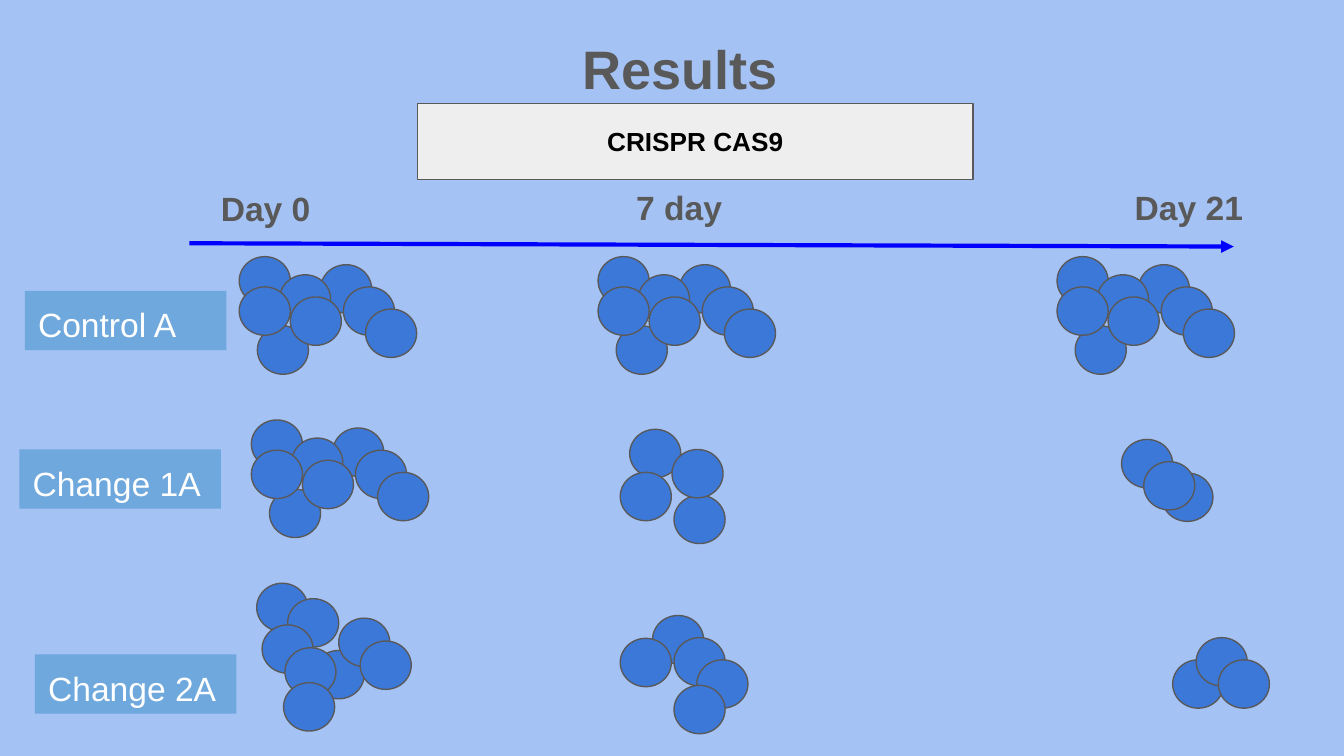
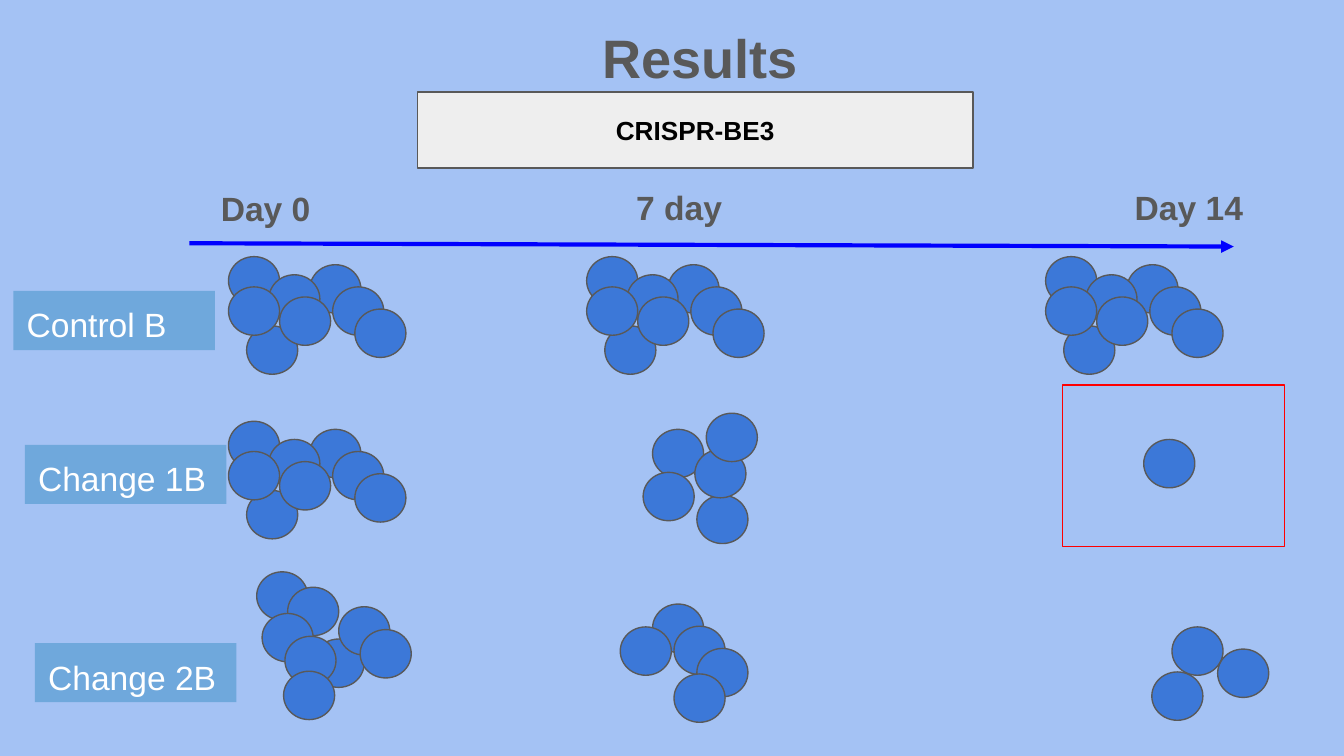
"""Build two slides that chart cell colonies over time under CRISPR edits."""
from dataclasses import dataclass

from lxml.etree import SubElement
from pptx import Presentation
from pptx.dml.color import RGBColor
from pptx.enum.shapes import MSO_CONNECTOR, MSO_SHAPE
from pptx.enum.text import MSO_ANCHOR, PP_ALIGN
from pptx.oxml.ns import qn
from pptx.util import Pt

EMU_PER_PX = 4572
SLIDE_SIZE = (2000, 1125)
INSET = 20
CELL_SIZE = (76, 72)
LABEL_SIZE = (300, 88)

FULL = [(121, 12), (0, 0), (27, 103), (60, 27), (0, 45), (76, 60), (155, 45), (188, 78)]
SCATTERED = [(84, 100), (0, 0), (46, 23), (122, 52), (8, 62), (154, 86), (42, 96), (40, 148)]
FOUR = [(14, 0), (0, 64), (80, 98), (77, 30)]
FIVE = FOUR + [(94, -24)]
ARC = [(48, 0), (80, 33), (114, 66), (80, 104), (0, 34)]
CHAIN = [(60, 50), (0, 0), (33, 33)]
PILE = [(0, 33), (35, 0), (68, 33)]
SPREAD = [(0, 67), (30, 0), (98, 33)]
SINGLE = [(0, 0)]

SLIDES = [
    {
        "title_at": (106, 33),
        "method": ("CRISPR CAS9", 154),
        "last_day": "Day 21",
        "labels": [("Control A", 37, 433), ("Change 1A", 29, 669), ("Change 2A", 52, 974)],
        "colonies": [
            (FULL, 356, 382), (FULL, 890, 382), (FULL, 1573, 382),
            (FULL, 374, 625), (FOUR, 923, 639), (CHAIN, 1669, 654),
            (SCATTERED, 382, 868), (ARC, 923, 916), (PILE, 1745, 949),
        ],
        "highlight": None,
    },
    {
        "title_at": (136, 17),
        "method": ("CRISPR-BE3", 137),
        "last_day": "Day 14",
        "labels": [("Control B", 20, 433), ("Change 1B", 37, 662), ("Change 2B", 52, 957)],
        "colonies": [
            (FULL, 340, 382), (FULL, 873, 382), (FULL, 1556, 382),
            (FULL, 340, 627), (FIVE, 957, 639), (SINGLE, 1702, 654),
            (SCATTERED, 382, 851), (ARC, 923, 899), (SPREAD, 1714, 933),
        ],
        "highlight": (1581, 573, 331, 240),
    },
]


@dataclass(frozen=True)
class Theme:
    """Colours, font and type sizes of the deck."""
    background: str = "A4C2F4"
    heading: str = "595959"
    outline: str = "595959"
    cell: str = "3C78D8"
    label: str = "6FA8DC"
    label_text: str = "FFFFFF"
    method: str = "EEEEEE"
    method_text: str = "000000"
    arrow: str = "0000FF"
    highlight: str = "FF0000"
    font: str = "Arial"
    title_size: int = 29
    body_size: int = 18
    method_size: int = 14
    thin: float = 0.75
    thick: float = 2.25


THEME = Theme()


def px(*lengths):
    """Turn px lengths into EMU."""
    return [n * EMU_PER_PX for n in lengths]


def rgb(color):
    """Turn a hex string into a colour."""
    return RGBColor.from_string(color)


def write(sp, text, size, color, bold=False, align=PP_ALIGN.LEFT, anchor=MSO_ANCHOR.TOP):
    """Put one styled paragraph into a shape."""
    tf = sp.text_frame
    tf.word_wrap = True
    tf.vertical_anchor = anchor
    tf.margin_left, tf.margin_top, tf.margin_right, tf.margin_bottom = px(*[INSET] * 4)
    p = tf.paragraphs[0]
    p.text = text
    p.alignment = align
    p.font.name = THEME.font
    p.font.size = Pt(size)
    p.font.bold = bold
    p.font.color.rgb = rgb(color)


def add_heading(s, text, box, size=THEME.body_size, align=PP_ALIGN.LEFT):
    """Add a bold grey text box."""
    sp = s.shapes.add_textbox(*px(*box))
    write(sp, text, size, THEME.heading, bold=True, align=align)


def add_box(s, kind, box, fill=None, line=None):
    """Add a flat preset shape with an optional fill and outline."""
    sp = s.shapes.add_shape(kind, *px(*box))
    sp.shadow.inherit = False
    if fill:
        sp.fill.solid()
        sp.fill.fore_color.rgb = rgb(fill)
    else:
        sp.fill.background()
    if line:
        sp.line.color.rgb = rgb(line)
        sp.line.width = Pt(THEME.thin)
    else:
        sp.line.fill.background()
    return sp


def add_timeline(s, last_day):
    """Add the time arrow and its day headings."""
    cxn = s.shapes.add_connector(MSO_CONNECTOR.STRAIGHT, *px(282, 362, 1836, 367))
    cxn.line.color.rgb = rgb(THEME.arrow)
    cxn.line.width = Pt(THEME.thick)
    SubElement(cxn.get_or_add_ln(), qn("a:tailEnd"), type="triangle")
    SubElement(cxn._element.spPr, qn("a:effectLst"))
    add_heading(s, "Day 0", (309, 260, 192, 88))
    add_heading(s, "7 day", (927, 258, 218, 72))
    add_heading(s, last_day, (1669, 258, 300, 72))


def add_method(s, text, top):
    """Add the box that names the editing method."""
    sp = add_box(s, MSO_SHAPE.RECTANGLE, (621, top, 827, 113), THEME.method, THEME.outline)
    write(sp, text, THEME.method_size, THEME.method_text, bold=True,
          align=PP_ALIGN.CENTER, anchor=MSO_ANCHOR.MIDDLE)


def add_label(s, text, left, top):
    """Add a row label."""
    sp = add_box(s, MSO_SHAPE.RECTANGLE, (left, top, *LABEL_SIZE), THEME.label)
    write(sp, text, THEME.body_size, THEME.label_text)


def add_colony(s, cells, left, top):
    """Add a cluster of cells at its offsets from one corner."""
    for dx, dy in cells:
        add_box(s, MSO_SHAPE.OVAL, (left + dx, top + dy, *CELL_SIZE), THEME.cell, THEME.outline)


def add_results(prs, content):
    """Add one results slide."""
    s = prs.slides.add_slide(prs.slide_layouts[6])
    s.background.fill.solid()
    s.background.fill.fore_color.rgb = rgb(THEME.background)
    add_heading(s, "Results", (*content["title_at"], 1812, 114), THEME.title_size, PP_ALIGN.CENTER)
    add_timeline(s, content["last_day"])
    add_method(s, *content["method"])
    for label in content["labels"]:
        add_label(s, *label)
    for colony in content["colonies"]:
        add_colony(s, *colony)
    if content["highlight"]:
        add_box(s, MSO_SHAPE.RECTANGLE, content["highlight"], line=THEME.highlight)


def main():
    """Build and save the deck."""
    prs = Presentation()
    prs.slide_width, prs.slide_height = px(*SLIDE_SIZE)
    for content in SLIDES:
        add_results(prs, content)
    prs.save("out.pptx")


if __name__ == "__main__":
    main()
